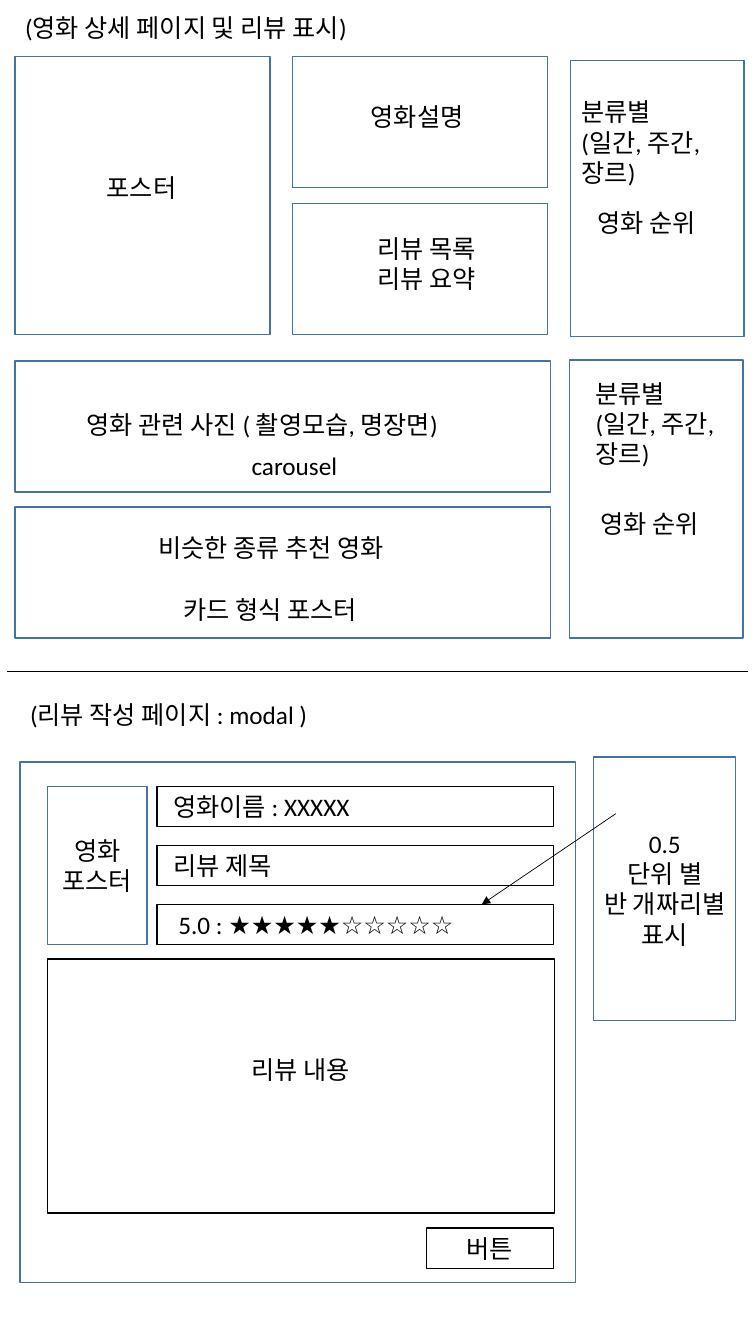
from dataclasses import dataclass

from lxml import etree
from pptx import Presentation
from pptx.dml.color import RGBColor
from pptx.enum import shapes as kinds, text as txt
from pptx.oxml.ns import qn
from pptx.util import Inches, Pt

LEFT, CENTER = txt.PP_ALIGN.LEFT, txt.PP_ALIGN.CENTER
TOP, MIDDLE = txt.MSO_ANCHOR.TOP, txt.MSO_ANCHOR.MIDDLE


@dataclass(frozen=True)
class Theme:
    font: str = "Calibri"
    size: float = 18
    ink: RGBColor = RGBColor(0, 0, 0)
    paper: RGBColor = RGBColor(0xFF, 0xFF, 0xFF)
    frame: RGBColor = RGBColor(0x43, 0x73, 0x9E)
    box_line: float = 1
    rule_line: float = 0.5


THEME = Theme()


@dataclass(frozen=True)
class Label:
    left: float
    top: float
    width: float
    lines: tuple[str, ...]
    align: int = LEFT
    height: float = 0.4


@dataclass(frozen=True)
class Box:
    left: float
    top: float
    width: float
    height: float
    lines: tuple[str, ...] = ()
    field: bool = False  # a black-edged white input field, else a blue frame
    align: int = CENTER
    anchor: int = MIDDLE
    inset_left: float = 0.1
    inset_top: float = 0.05
    bold_tail: str = ""


@dataclass(frozen=True)
class Rule:
    start: tuple[float, float]
    end: tuple[float, float]
    arrow: bool = False


COLUMN, SIDE, WIDE = 2.53, 1.72, 5.31
FIELD_LEFT, FIELD_WIDTH, FIELD_HEIGHT = 1.56, 3.93, 0.4
FIELD_TOP, FIELD_STEP = 7.8, 0.585
RANKING = ("분류별", "(일간, 주간, 장르)")


def field_row(row: int, line: str, inset: float, stars: str = "") -> Box:
    return Box(FIELD_LEFT, FIELD_TOP + row * FIELD_STEP, FIELD_WIDTH, FIELD_HEIGHT,
               (line,), True, LEFT, TOP, inset, bold_tail=stars)


DETAIL_BOXES = [
    Box(0.15, 0.56, COLUMN, 2.76),
    Box(2.9, 0.56, COLUMN, 1.3),
    Box(2.9, 2.02, COLUMN, 1.3),
    Box(0.15, 3.58, WIDE, 1.3),
    Box(0.15, 5.03, WIDE, 1.3),
    Box(5.66, 0.6, SIDE, 2.74),
    Box(5.65, 3.57, SIDE, 2.76),
]
REVIEW_BOXES = [
    Box(0.2, 7.56, 5.51, 5.16),
    field_row(0, "영화이름 : XXXXX", 0.16),
    field_row(1, "리뷰 제목", 0.16),
    field_row(2, "5.0 : ", 0.21, "★★★★★☆☆☆☆☆"),
    Box(0.47, 9.51, 5.03, 2.52, ("리뷰 내용",), True, anchor=TOP, inset_top=0.95),
    Box(5.89, 7.51, 1.41, 2.61, ("0.5", "단위 별", "반 개짜리별 표시")),
    Box(4.23, 12.18, 1.26, FIELD_HEIGHT, ("버튼",), True, anchor=TOP),
    Box(0.47, FIELD_TOP, 0.99, 1.57, ("영화 포스터",)),
]
LABELS = [
    Label(0.15, 0.07, 4.18, ("(영화 상세 페이지 및 리뷰 표시)",)),
    Label(0.96, 1.66, 1.3, ("포스터",)),
    Label(3.58, 0.96, 1.3, ("영화설명",)),
    Label(3.18, 2.26, 2.1, ("리뷰 목록", "리뷰 요약"), CENTER, 0.71),
    Label(0.76, 4.01, 4.29, ("영화 관련 사진 ( 촬영모습, 명장면)",)),
    Label(1.61, 4.42, 2.62, ("carousel",), CENTER),
    Label(1.47, 5.23, 2.87, ("비슷한 종류 추천 영화",)),
    Label(1.37, 5.85, 2.62, ("카드 형식 포스터",), CENTER),
    Label(5.67, 0.91, 1.75, RANKING, height=1.01),
    Label(5.83, 2.01, 1.3, ("영화 순위",)),
    Label(5.81, 3.7, 1.75, RANKING, height=1.01),
    Label(5.86, 4.99, 1.3, ("영화 순위",)),
    Label(0.2, 6.89, 4.18, ("(리뷰 작성 페이지 : modal )",)),
]
RULES = [
    Rule((0.07, 6.66), (7.42, 6.66)),
    Rule((6.11, 8.07), (4.78, 8.97), arrow=True),
]


def apply(target, formats: dict) -> None:
    for name, value in formats.items():
        setattr(target, name, value)


def add_run(paragraph, content: str, bold: bool = False) -> None:
    run = paragraph.add_run()
    run.text = content
    apply(run.font, {"name": THEME.font, "size": Pt(THEME.size), "bold": bold})
    run.font.color.rgb = THEME.ink


def write_lines(frame, lines: tuple[str, ...], align: int) -> None:
    for index, line in enumerate(lines):
        paragraph = frame.add_paragraph() if index else frame.paragraphs[0]
        paragraph.alignment = align
        add_run(paragraph, line)


def draw_box(slide, box: Box) -> None:
    shape = slide.shapes.add_shape(
        kinds.MSO_SHAPE.RECTANGLE,
        *map(Inches, (box.left, box.top, box.width, box.height)))
    shape.shadow.inherit = False
    if box.field:
        shape.fill.solid()
        shape.fill.fore_color.rgb = THEME.paper
    else:
        shape.fill.background()
    shape.line.color.rgb = THEME.ink if box.field else THEME.frame
    shape.line.width = Pt(THEME.box_line)
    frame = shape.text_frame
    apply(frame, {"word_wrap": True, "vertical_anchor": box.anchor,
                  "margin_left": Inches(box.inset_left),
                  "margin_top": Inches(box.inset_top)})
    write_lines(frame, box.lines, box.align)
    if box.bold_tail:
        add_run(frame.paragraphs[-1], box.bold_tail, bold=True)


def draw_label(slide, label: Label) -> None:
    frame = slide.shapes.add_textbox(
        *map(Inches, (label.left, label.top, label.width, label.height))).text_frame
    apply(frame, {"word_wrap": True, "vertical_anchor": TOP,
                  "auto_size": txt.MSO_AUTO_SIZE.SHAPE_TO_FIT_TEXT})
    write_lines(frame, label.lines, label.align)


def draw_rule(slide, rule: Rule) -> None:
    line = slide.shapes.add_connector(
        kinds.MSO_CONNECTOR.STRAIGHT, *map(Inches, rule.start + rule.end))
    line.line.color.rgb = THEME.ink
    line.line.width = Pt(THEME.rule_line)
    properties = line._element.spPr
    if rule.arrow:
        etree.SubElement(properties.find(qn("a:ln")), qn("a:tailEnd"), type="triangle")
    etree.SubElement(properties, qn("a:effectLst"))


def main() -> None:
    deck = Presentation()
    apply(deck, {"slide_width": Inches(7.5), "slide_height": Inches(13.33)})
    slide = deck.slides.add_slide(deck.slide_layouts[6])
    for box in DETAIL_BOXES + REVIEW_BOXES:
        draw_box(slide, box)
    for rule in RULES:
        draw_rule(slide, rule)
    for label in LABELS:
        draw_label(slide, label)
    deck.save("out.pptx")


if __name__ == "__main__":
    main()
